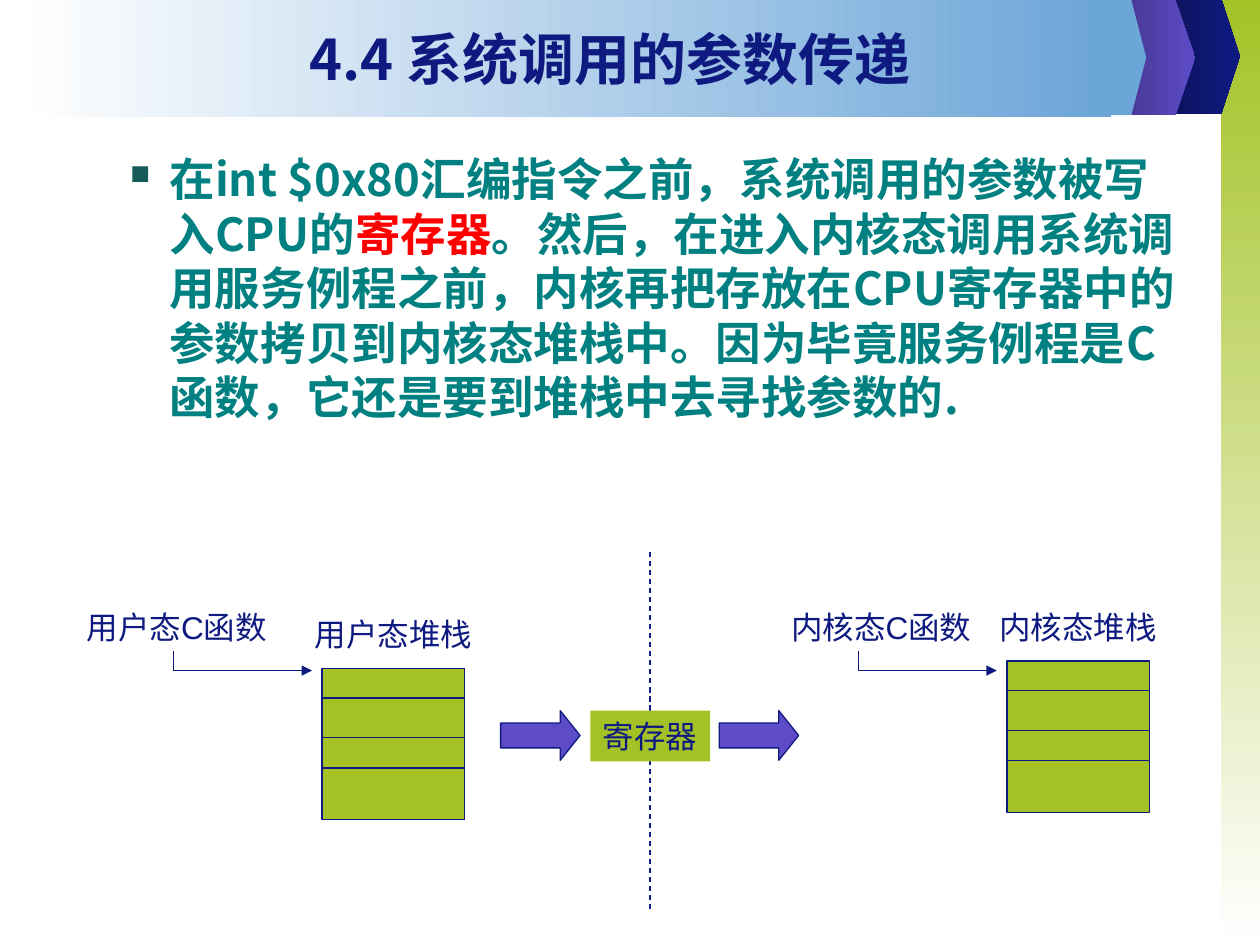
from lxml import etree
from pptx import Presentation
from pptx.dml.color import RGBColor
from pptx.enum.dml import MSO_LINE
from pptx.enum.shapes import MSO_CONNECTOR, MSO_SHAPE
from pptx.enum.text import MSO_ANCHOR, PP_ALIGN
from pptx.oxml.ns import qn
from pptx.util import Pt

RECT = MSO_SHAPE.RECTANGLE
PLATE = MSO_SHAPE.PENTAGON
ARROW = MSO_SHAPE.RIGHT_ARROW
STRAIGHT = MSO_CONNECTOR.STRAIGHT
DASH = MSO_LINE.DASH
MIDDLE = MSO_ANCHOR.MIDDLE
CENTER = PP_ALIGN.CENTER
LEFT = PP_ALIGN.LEFT

COLORS = {
    "navy": "0F1A81", "deep": "0B135C", "violet": "5D4BC7", "plum": "43368E",
    "lime": "A4C226", "sky": "6CA5D8", "white": "FFFFFF",
    "teal": "008080", "red": "FF0000", "bullet": "175B5B",
}
HEADING_FONT = "Noto Sans CJK SC"
LABEL_FONT = "Arial"

TITLE = "4.4 系统调用的参数传递"
BODY = [
    ("在int $0x80汇编指令之前，系统调用的参数被写入CPU的", "teal"),
    ("寄存器", "red"),
    ("。然后，在进入内核态调用系统调用服务例程之前，内核再把存放在CPU寄存器中的参数"
     "拷贝到内核态堆栈中。因为毕竟服务例程是C函数，它还是要到堆栈中去寻找参数的.", "teal"),
]
REGISTER = "寄存器"
MODES = [
    {"function": "用户态C函数", "function_x": 42.5, "stack": "用户态堆栈",
     "x": 99.1, "stack_y": 382},
    {"function": "内核态C函数", "function_x": 445, "stack": "内核态堆栈",
     "x": 490.4, "stack_y": 377.7},
]
FRAME_OFFSETS = [0, 16.9, 39.6, 56.9]
TRANSFER_ARROWS = [286.1, 411]

BANDS = [
    (RECT, 697.7, 0, 22.3, 540, "lime", "white", 270),
    (PLATE, 666, -0.7, 42.5, 65.8, "deep", "navy", 0),
    (PLATE, 637.7, 0, 45.2, 65.8, "plum", "violet", 0),
    (RECT, 8.6, 0, 626.4, 67, "white", "sky", 0),
    (PLATE, 621.1, 0, 33.9, 65.8, "sky", None, 0),
]


def rgb(name):
    return RGBColor.from_string(COLORS[name])


def style(paragraph, font_name, size, color, bold=False):
    font = paragraph.font
    font.name, font.size, font.bold = font_name, Pt(size), bold
    font.color.rgb = rgb(color)
    defaults = paragraph._p.get_or_add_pPr().get_or_add_defRPr()
    etree.SubElement(defaults, qn("a:ea"), typeface=font_name)


def add_block(shapes, kind, x, y, width, height, fill, outlined=False):
    block = shapes.add_shape(kind, Pt(x), Pt(y), Pt(width), Pt(height))
    block.shadow.inherit = False
    block.fill.solid()
    block.fill.fore_color.rgb = rgb(fill)
    if outlined:
        block.line.color.rgb = rgb("navy")
        block.line.width = Pt(0.75)
    else:
        block.line.fill.background()
    return block


def add_band(shapes, kind, x, y, width, height, start, end, angle):
    band = add_block(shapes, kind, x, y, width, height, start)
    if kind == PLATE:
        band.adjustments[0] = 0.25
    if end:
        band.fill.gradient()
        band.fill.gradient_angle = angle
        for stop, color in zip(band.fill.gradient_stops, (start, end)):
            stop.color.rgb = rgb(color)


def add_line(shapes, x1, y1, x2, y2, arrow=False, dashed=False):
    line = shapes.add_connector(STRAIGHT, Pt(x1), Pt(y1), Pt(x2), Pt(y2))
    line.line.color.rgb = rgb("navy")
    line.line.width = Pt(0.75)
    if dashed:
        line.line.dash_style = DASH
    if arrow:
        etree.SubElement(line.line._get_or_add_ln(), qn("a:tailEnd"), type="triangle")
    etree.SubElement(line._element.spPr, qn("a:effectLst"))


def write_label(holder, text, wrap=False):
    frame = holder.text_frame
    frame.word_wrap = wrap
    paragraph = frame.paragraphs[0]
    paragraph.text = text
    paragraph.alignment = LEFT
    style(paragraph, LABEL_FONT, 18, "navy")


def add_label(shapes, text, x, y, width, wrap=False):
    write_label(shapes.add_textbox(Pt(x), Pt(y), Pt(width), Pt(29)), text, wrap)


def add_body(shapes):
    frame = shapes.add_textbox(Pt(31.3), Pt(82.8), Pt(653), Pt(415.4)).text_frame
    frame.word_wrap = True
    paragraph = frame.paragraphs[0]
    props = paragraph._p.get_or_add_pPr()
    props.set("marL", str(Pt(58.5)))
    props.set("indent", str(-Pt(22.5)))
    bullet_color = etree.SubElement(props, qn("a:buClr"))
    etree.SubElement(bullet_color, qn("a:srgbClr"), val=COLORS["bullet"])
    etree.SubElement(props, qn("a:buSzPct"), val="60000")
    etree.SubElement(props, qn("a:buChar"), char="■")
    style(paragraph, HEADING_FONT, 26, "teal", True)
    for text, color in BODY:
        run = paragraph.add_run()
        run.text = text
        run.font.color.rgb = rgb(color)


def add_mode(shapes, mode):
    x, stack_y = mode["x"], mode["stack_y"]
    for offset in FRAME_OFFSETS:
        add_block(shapes, RECT, x + 85, stack_y + offset, 81.4, 29.5, "lime", True)
    add_label(shapes, mode["stack"], x + 73.6, stack_y - 34, 104.4)
    add_label(shapes, mode["function"], mode["function_x"], 343.7, 117.4, True)
    add_line(shapes, x, 372.2, x, 383.2)
    add_line(shapes, x, 383.2, x + 79.2, 383.2, arrow=True)


def add_title(slide):
    title = slide.shapes.title
    title.left, title.top, title.width, title.height = Pt(48.4), Pt(9.4), Pt(601), Pt(48)
    slide.shapes._spTree.append(title._element)
    frame = title.text_frame
    frame.word_wrap = True
    frame.vertical_anchor = MIDDLE
    paragraph = frame.paragraphs[0]
    paragraph.text = TITLE
    paragraph.alignment = CENTER
    style(paragraph, HEADING_FONT, 32, "navy", True)


def main():
    deck = Presentation()
    deck.slide_width, deck.slide_height = Pt(720), Pt(540)
    slide = deck.slides.add_slide(deck.slide_layouts[5])
    shapes = slide.shapes
    for band in BANDS:
        add_band(shapes, *band)
    add_body(shapes)
    for mode in MODES:
        add_mode(shapes, mode)
    add_line(shapes, 371.4, 315.4, 371.4, 519.8, dashed=True)
    register = add_block(shapes, RECT, 337.4, 406.1, 68.4, 29, "lime")
    write_label(register, REGISTER)
    for x in TRANSFER_ARROWS:
        arrow = add_block(shapes, ARROW, x, 406.1, 45.4, 28.4, "violet", True)
        arrow.adjustments[0], arrow.adjustments[1] = 0.5, 0.4
    add_title(slide)
    deck.save("out.pptx")


if __name__ == "__main__":
    main()
